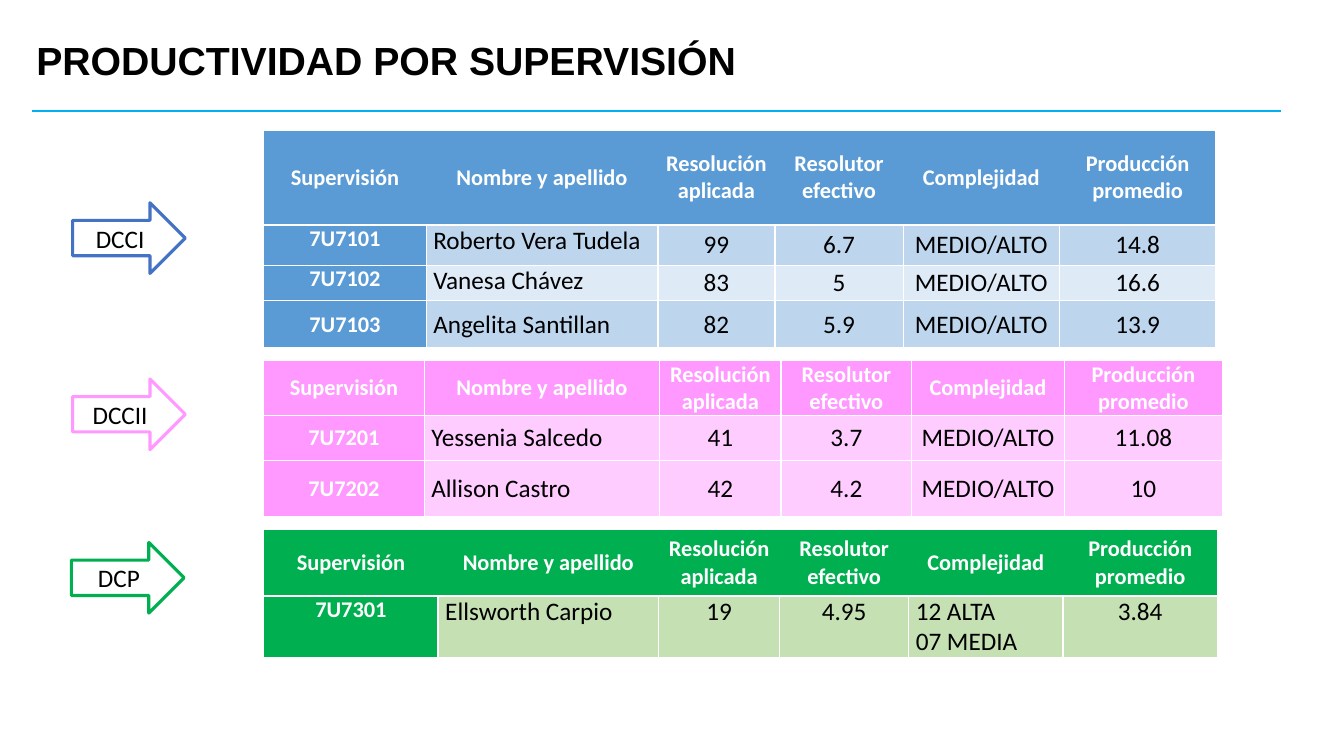
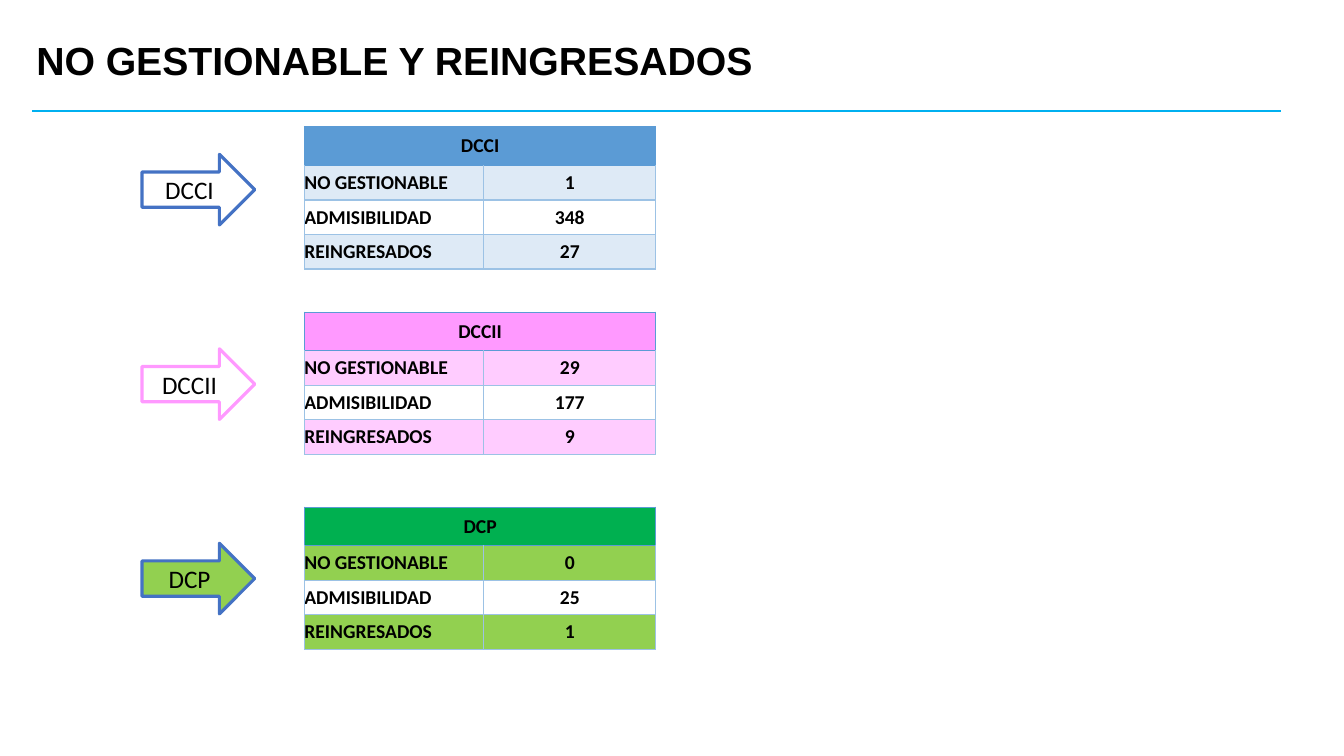
import pptx
import pptx.dml.color
import pptx.enum.shapes
import pptx.enum.text
import pptx.oxml
import pptx.oxml.ns
import pptx.util
from lxml import etree

Cm = pptx.util.Cm
Pt = pptx.util.Pt
ALIGN = pptx.enum.text.PP_ALIGN
ANCHOR = pptx.enum.text.MSO_ANCHOR

BLACK, WHITE = "000000", "FFFFFF"
RULE = "00B0F0"
NAVY, BLUE, LIGHT_BLUE, PALE_BLUE = "4472C4", "5B9BD5", "BDD6EE", "DEEAF6"
PINK, PALE_PINK = "FF99FF", "FFCCFF"
GREEN, LIME, PALE_GREEN = "00B050", "92D050", "C5E0B3"
GRID = "9CC2E5"

HEADINGS = ["Supervisión", "Nombre y apellido", "Resolución aplicada",
            "Resolutor efectivo", "Complejidad", "Producción promedio"]
CASE_TYPES = ["NO GESTIONABLE", "ADMISIBILIDAD", "REINGRESADOS"]

# top_cells maps a row to how many of its first cells are anchored at the top
TEAMS = [
    dict(label="DCCI", arrow=(1.83, 5.11), outline=NAVY, top=3.28,
         widths=[4.09, 5.84, 2.95, 3.23, 3.94, 3.94],
         heights=[2.39, 1.02, 0.89, 1.19],
         main=BLUE, bands=[LIGHT_BLUE, PALE_BLUE], header_dividers=False,
         top_cells={1: 2, 2: 2},
         people=[["7U7101", "Roberto Vera Tudela", "99", "6.7", "MEDIO/ALTO", "14.8"],
                 ["7U7102", "Vanesa Chávez", "83", "5", "MEDIO/ALTO", "16.6"],
                 ["7U7103", "Angelita Santillan", "82", "5.9", "MEDIO/ALTO", "13.9"]]),
    dict(label="DCCII", arrow=(1.83, 9.55), outline=PINK, top=9.09,
         widths=[4.04, 5.94, 3.05, 3.3, 3.84, 3.99],
         heights=[1.17, 1.14, 1.4],
         main=PINK, bands=[PALE_PINK], header_dividers=True, top_cells={},
         people=[["7U7201", "Yessenia Salcedo", "41", "3.7", "MEDIO/ALTO", "11.08"],
                 ["7U7202", "Allison Castro", "42", "4.2", "MEDIO/ALTO", "10"]]),
    dict(label="DCP", arrow=(1.8, 13.67), outline=GREEN, top=13.34,
         widths=[4.39, 5.56, 3.05, 3.25, 3.89, 3.89],
         heights=[1.68, 1.52],
         main=GREEN, bands=[PALE_GREEN], header_dividers=False, top_cells={1: 6},
         people=[["7U7301", "Ellsworth Carpio", "19", "4.95",
                  "12 ALTA\n07 MEDIA", "3.84"]]),
]

CASES = [
    dict(label="DCCI", top=3.2, main=BLUE, band=PALE_BLUE,
         arrow_fill=WHITE, outline=NAVY, counts=["1", "348", "27"]),
    dict(label="DCCII", top=7.87, main=PINK, band=PALE_PINK,
         arrow_fill=WHITE, outline=PINK, counts=["29", "177", "9"]),
    dict(label="DCP", top=12.78, main=GREEN, band=LIME,
         arrow_fill=LIME, outline=NAVY, counts=["0", "25", "1"]),
]


def rgb(hex_color):
    return pptx.dml.color.RGBColor.from_string(hex_color)


def style_text(frame, size, color=BLACK, bold=False, align=ALIGN.CENTER, font="Calibri"):
    for paragraph in frame.paragraphs:
        paragraph.alignment = align
        for run in paragraph.runs:
            run.font.name = font
            run.font.size = Pt(size)
            run.font.bold = bold
            run.font.color.rgb = rgb(color)


def start_slide(deck, heading):
    """Add a slide with the shared title and the rule under it."""
    slide = deck.slides.add_slide(deck.slide_layouts[5])
    title = slide.shapes.title
    title.left, title.top, title.width, title.height = Cm(0.66), Cm(0.69), Cm(29.21), Cm(1.78)
    frame = title.text_frame
    frame.text = heading
    frame.word_wrap = True
    frame.auto_size = pptx.enum.text.MSO_AUTO_SIZE.NONE
    frame.vertical_anchor = ANCHOR.MIDDLE
    frame.paragraphs[0].line_spacing = 0.9
    style_text(frame, 28, bold=True, align=ALIGN.LEFT, font="Arial")

    rule = slide.shapes.add_connector(
        pptx.enum.shapes.MSO_CONNECTOR.STRAIGHT, Cm(0.81), Cm(2.79), Cm(32.28), Cm(2.79))
    rule.line.color.rgb = rgb(RULE)
    rule.line.width = Pt(1.5)
    etree.SubElement(rule._element.spPr, pptx.oxml.ns.qn("a:effectLst"))
    return slide


def add_team_arrow(slide, left, top, label, outline, fill=WHITE):
    arrow = slide.shapes.add_shape(
        pptx.enum.shapes.MSO_SHAPE.RIGHT_ARROW, Cm(left), Cm(top), Cm(2.84), Cm(1.78))
    arrow.shadow.inherit = False
    arrow.fill.solid()
    arrow.fill.fore_color.rgb = rgb(fill)
    arrow.line.color.rgb = rgb(outline)
    arrow.line.width = Pt(2.25)
    arrow.text_frame.text = label
    arrow.text_frame.vertical_anchor = ANCHOR.MIDDLE
    style_text(arrow.text_frame, 18)


def add_grid(slide, left, top, widths, heights):
    frame = slide.shapes.add_table(len(heights), len(widths), Cm(left), Cm(top),
                                   Cm(sum(widths)), Cm(sum(heights)))
    table = frame.table
    table.horz_banding = False
    for column, width in zip(table.columns, widths):
        column.width = Cm(width)
    for row, height in zip(table.rows, heights):
        row.height = Cm(height)
    return table


def set_borders(cell, left, right, top, bottom):
    """Draw 1 pt borders; None leaves a side without a line."""
    properties = cell._tc.get_or_add_tcPr()
    for side, color in zip("LRTB", (left, right, top, bottom)):
        paint = f'<a:solidFill><a:srgbClr val="{color}"/></a:solidFill>' if color else "<a:noFill/>"
        properties.append(pptx.oxml.parse_xml(
            f'<a:ln{side} {pptx.oxml.ns.nsdecls("a")} w="12700">{paint}</a:ln{side}>'))


def fill_cell(cell, text, fill, side_margin, anchor=ANCHOR.MIDDLE, **text_style):
    cell.margin_left = cell.margin_right = Cm(side_margin)
    cell.margin_top = cell.margin_bottom = 0
    cell.vertical_anchor = anchor
    if fill:
        cell.fill.solid()
        cell.fill.fore_color.rgb = rgb(fill)
    else:
        cell.fill.background()
    cell.text_frame.text = text
    style_text(cell.text_frame, **text_style)


def add_productivity_table(slide, left, team):
    table = add_grid(slide, left, team["top"], team["widths"], team["heights"])
    last = len(HEADINGS) - 1
    for r, values in enumerate([HEADINGS] + team["people"]):
        band = team["bands"][(r - 1) % len(team["bands"])]
        for c, text in enumerate(values):
            cell = table.cell(r, c)
            divider = WHITE if r or team["header_dividers"] else None
            set_borders(cell, divider if c else WHITE, divider if c < last else WHITE,
                        WHITE, WHITE)
            anchor = ANCHOR.TOP if c < team["top_cells"].get(r, 0) else ANCHOR.MIDDLE
            if r == 0 or c == 0:
                fill_cell(cell, text, team["main"], 0.18, anchor,
                          size=16, color=WHITE, bold=True)
            else:
                align = ALIGN.LEFT if c == 1 or "\n" in text else ALIGN.CENTER
                fill_cell(cell, text, band, 0.18, anchor, size=18, align=align)


def add_case_table(slide, left, case):
    table = add_grid(slide, left, case["top"], [4.52, 4.34], [0.97] + [0.87] * len(CASE_TYPES))
    for c in range(2):
        set_borders(table.cell(0, c), BLUE, BLUE, BLUE, BLUE)
    header = table.cell(0, 0)
    header.merge(table.cell(0, 1))
    fill_cell(header, case["label"], case["main"], 0, size=14, bold=True)
    for r, values in enumerate(zip(CASE_TYPES, case["counts"]), start=1):
        for c, (text, align) in enumerate(zip(values, (ALIGN.LEFT, ALIGN.CENTER))):
            cell = table.cell(r, c)
            set_borders(cell, GRID, GRID, BLUE if r == 1 else GRID, GRID)
            fill_cell(cell, text, case["band"] if r % 2 else None, 0,
                      size=14, bold=True, align=align)


def build_productivity(deck):
    slide = start_slide(deck, "PRODUCTIVIDAD POR SUPERVISIÓN")
    for team in TEAMS:
        add_team_arrow(slide, *team["arrow"], team["label"], team["outline"])
        add_productivity_table(slide, 6.65, team)


def build_cases(deck):
    slide = start_slide(deck, "NO GESTIONABLE Y REINGRESADOS")
    for i, case in enumerate(CASES):
        add_team_arrow(slide, 3.58, 3.89 + 4.9 * i, case["label"],
                       case["outline"], case["arrow_fill"])
        add_case_table(slide, 7.67, case)


def main():
    deck = pptx.Presentation()
    deck.slide_width, deck.slide_height = Cm(33.87), Cm(19.05)
    build_productivity(deck)
    build_cases(deck)
    deck.save("out.pptx")


if __name__ == "__main__":
    main()
